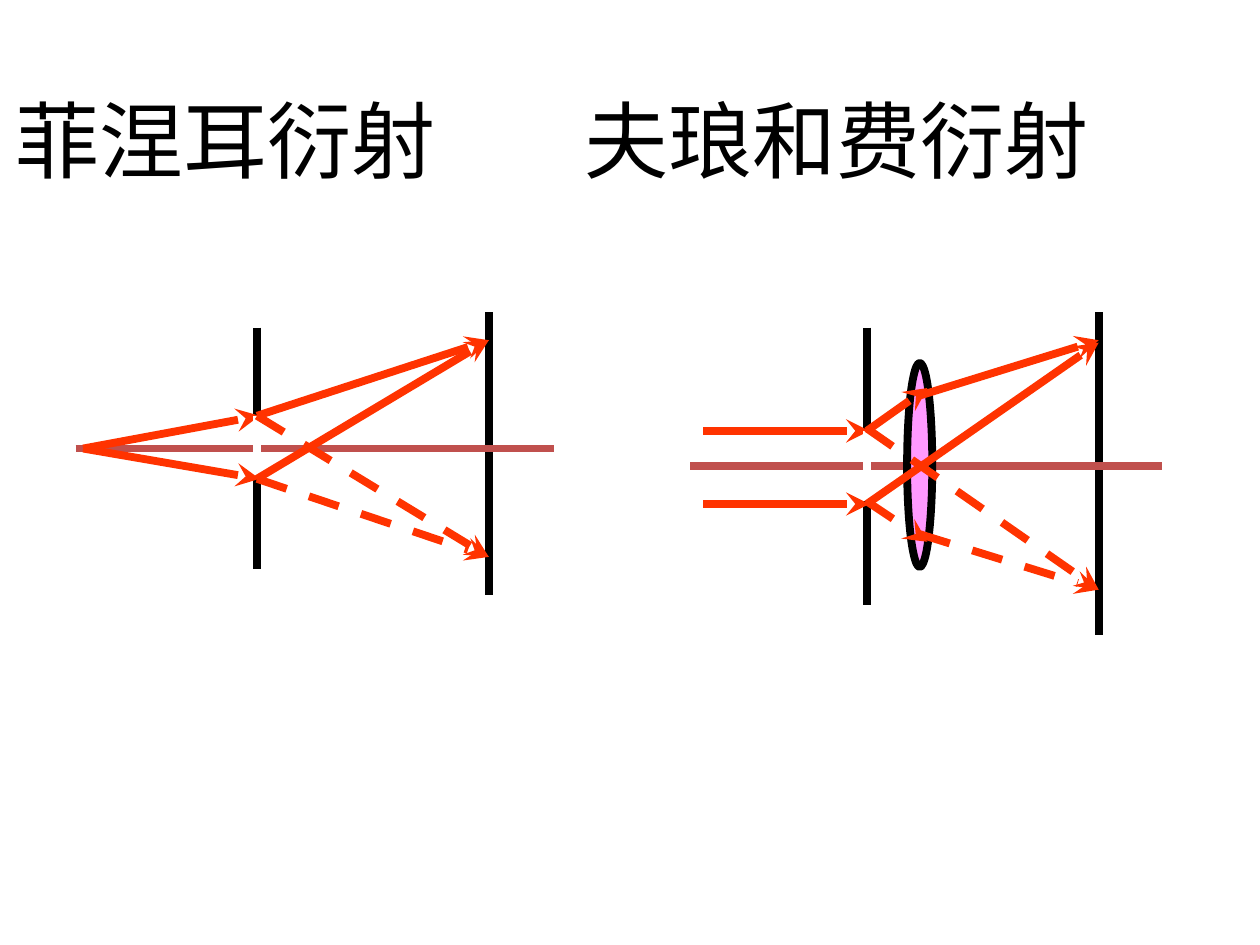
from dataclasses import dataclass

from lxml.etree import SubElement
from pptx import Presentation
from pptx.dml.color import RGBColor
from pptx.enum.dml import MSO_LINE
from pptx.enum.shapes import MSO_CONNECTOR, MSO_SHAPE
from pptx.enum.text import MSO_ANCHOR, PP_ALIGN
from pptx.oxml.ns import qn
from pptx.shapes.group import GroupShape
from pptx.slide import Slide
from pptx.util import Inches, Pt

BLACK, WHITE = "000000", "FFFFFF"
AXIS, RAY, LENS = "C0504D", "FF3300", "FF99FF"
LINE_WIDTH = Pt(2.25)


@dataclass(frozen=True)
class Line:
    x1: float
    y1: float
    x2: float
    y2: float
    color: str = RAY
    dashed: bool = False


@dataclass(frozen=True)
class Ellipse:
    left: float
    top: float
    width: float
    height: float
    fill: str


def rgb(color: str) -> RGBColor:
    return RGBColor.from_string(color)


def draw_line(group: GroupShape, line: Line) -> None:
    """Draw a straight line; light rays get an arrowhead."""
    ends = [Inches(v) for v in (line.x1, line.y1, line.x2, line.y2)]
    connector = group.shapes.add_connector(MSO_CONNECTOR.STRAIGHT, *ends)
    connector.line.width = LINE_WIDTH
    connector.line.color.rgb = rgb(line.color)
    if line.dashed:
        connector.line.dash_style = MSO_LINE.DASH
    properties = connector._element.spPr
    if line.color == RAY:
        SubElement(properties.find(qn("a:ln")), qn("a:tailEnd"), type="stealth")
    SubElement(properties, qn("a:effectLst"))


def draw_ellipse(group: GroupShape, ellipse: Ellipse) -> None:
    box = [Inches(v) for v in (ellipse.left, ellipse.top, ellipse.width, ellipse.height)]
    shape = group.shapes.add_shape(MSO_SHAPE.OVAL, *box)
    shape.shadow.inherit = False
    shape.fill.solid()
    shape.fill.fore_color.rgb = rgb(ellipse.fill)
    shape.line.color.rgb = rgb(BLACK)
    shape.line.width = LINE_WIDTH


def draw_diagram(slide: Slide, parts: list[Line | Ellipse]) -> None:
    """Draw the parts, back to front, as one group."""
    group = slide.shapes.add_group_shape()
    for part in parts:
        if isinstance(part, Line):
            draw_line(group, part)
        else:
            draw_ellipse(group, part)


def set_title(slide: Slide, left_text: str, right_text: str) -> None:
    """Put both headings on one line, the second at a tab stop."""
    title = slide.shapes.title
    title.left, title.top = Inches(-0.04), Inches(0.3)
    title.width, title.height = Inches(5.2), Inches(0.5)
    frame = title.text_frame
    frame.word_wrap = True
    frame.vertical_anchor = MSO_ANCHOR.TOP
    paragraph = frame.paragraphs[0]
    paragraph.text = f"{left_text}\t{right_text}"
    paragraph.alignment = PP_ALIGN.LEFT
    tabs = SubElement(paragraph._p.get_or_add_pPr(), qn("a:tabLst"))
    SubElement(tabs, qn("a:tab"), pos=str(Inches(2.26)), algn="l")
    paragraph.font.name = "Times New Roman"
    paragraph.font.size = Pt(24)
    paragraph.font.color.rgb = rgb(BLACK)


# Fresnel diffraction: point source, slit and screen
FRESNEL = [
    Line(1.02, 1.3, 1.02, 2.26, BLACK),
    Line(1.94, 1.24, 1.94, 2.36, BLACK),
    Line(0.3, 1.78, 2.2, 1.78, AXIS),
    Line(0.33, 1.78, 1.03, 1.65),
    Line(1.02, 1.65, 1.02, 1.9, WHITE),
    Line(0.33, 1.78, 1.03, 1.9),
    Line(1.02, 1.65, 1.94, 1.35),
    Line(1.02, 1.9, 1.94, 1.35),
    Line(1.02, 1.9, 1.94, 2.21, dashed=True),
    Line(1.02, 1.65, 1.94, 2.21, dashed=True),
]

# Fraunhofer diffraction: parallel light, slit, lens and screen
FRAUNHOFER = [
    Line(3.44, 1.3, 3.44, 2.4, BLACK),
    Line(4.36, 1.24, 4.36, 2.52, BLACK),
    Line(2.74, 1.85, 4.61, 1.85, AXIS),
    Line(2.79, 1.71, 3.45, 1.71),
    Line(3.44, 1.71, 3.44, 1.99, WHITE),
    Line(2.79, 2, 3.45, 2),
    Ellipse(3.6, 1.44, 0.1, 0.81, LENS),
    Line(3.44, 2, 4.36, 1.36),
    Line(3.44, 1.71, 3.68, 1.54),
    Line(3.65, 1.57, 4.36, 1.35),
    Line(3.44, 1.7, 4.36, 2.34, dashed=True),
    Line(3.44, 1.99, 3.68, 2.15, dashed=True),
    Line(3.65, 2.12, 4.36, 2.34, dashed=True),
]


def main() -> None:
    presentation = Presentation()
    presentation.slide_width, presentation.slide_height = Inches(5), Inches(3.75)
    slide = presentation.slides.add_slide(presentation.slide_layouts[5])
    set_title(slide, "菲涅耳衍射", "夫琅和费衍射")
    for parts in (FRESNEL, FRAUNHOFER):
        draw_diagram(slide, parts)
    presentation.save("out.pptx")


if __name__ == "__main__":
    main()
